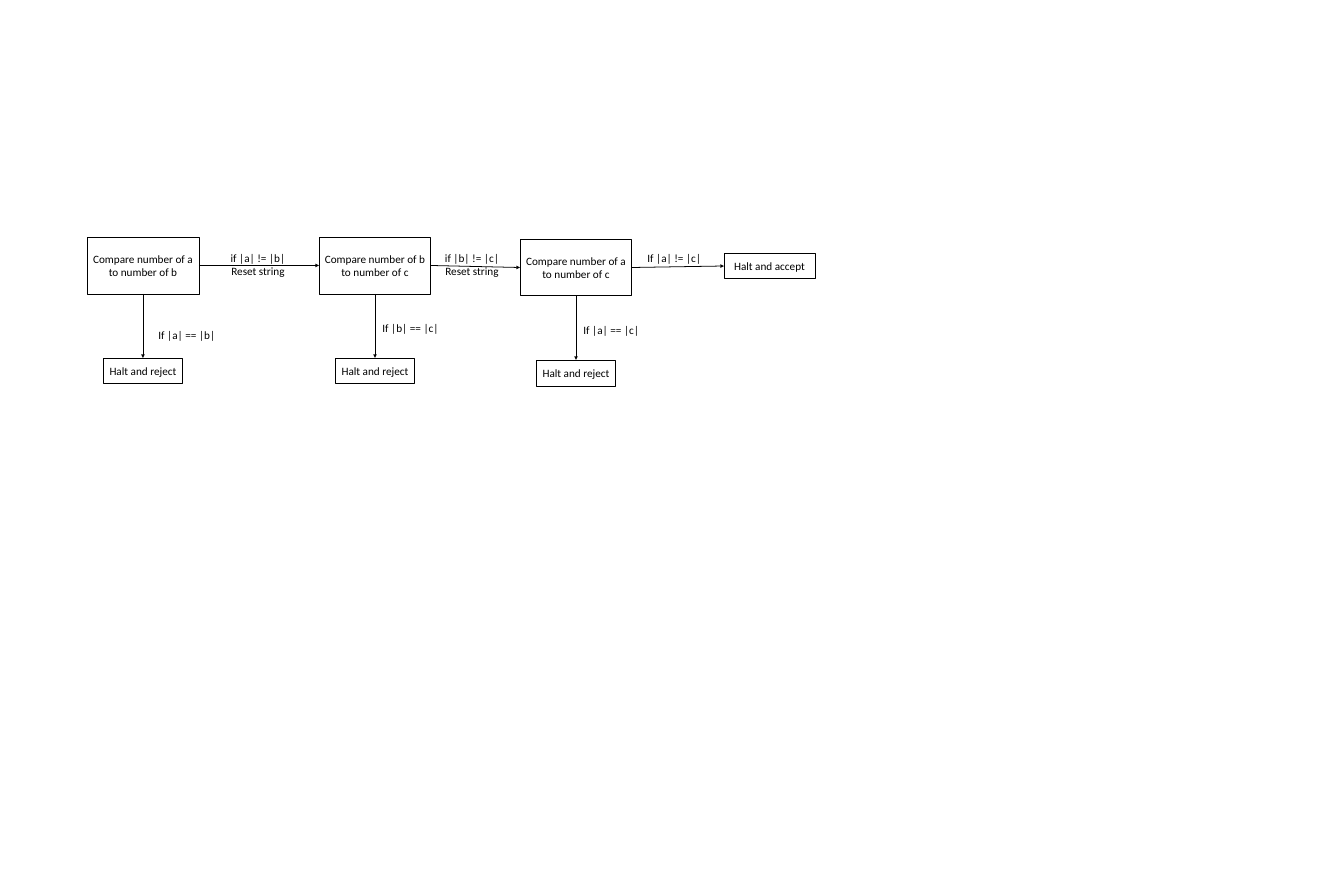
from lxml import etree
from pptx import Presentation
from pptx.dml.color import RGBColor
from pptx.enum.shapes import MSO_CONNECTOR, MSO_SHAPE
from pptx.enum.text import MSO_ANCHOR, MSO_AUTO_SIZE, PP_ALIGN
from pptx.oxml.ns import qn
from pptx.util import Emu, Inches, Pt

RECTANGLE = MSO_SHAPE.RECTANGLE
STRAIGHT = MSO_CONNECTOR.STRAIGHT
MIDDLE, TOP = MSO_ANCHOR.MIDDLE, MSO_ANCHOR.TOP
CENTER, LEFT = PP_ALIGN.CENTER, PP_ALIGN.LEFT
GROW = MSO_AUTO_SIZE.SHAPE_TO_FIT_TEXT
BLACK = RGBColor(0x00, 0x00, 0x00)
WHITE = RGBColor(0xFF, 0xFF, 0xFF)
PIXEL = Inches(1) / 44.8
# Connection sites of a rectangle
SITE_TOP, SITE_LEFT, SITE_BOTTOM, SITE_RIGHT = range(4)

STAGE_WIDTH, STAGE_HEIGHT = 112, 57
REJECT_WIDTH, ACCEPT_WIDTH, HALT_HEIGHT = 79, 91, 26
REJECT_DROP = 121  # from the top of a stage to the top of its reject box


def write_text(shape, text, alignment, anchor):
    """Fill a shape with black Calibri text."""
    frame = shape.text_frame
    frame.text = text
    frame.word_wrap = True
    frame.vertical_anchor = anchor
    for paragraph in frame.paragraphs:
        paragraph.alignment = alignment
        for run in paragraph.runs:
            run.font.name = "Calibri"
            run.font.size = Pt(18)
            run.font.color.rgb = BLACK


def add_arrow(start_box, start_site, end_box, end_site):
    """Join two boxes with a straight arrow."""
    connector = slide.shapes.add_connector(STRAIGHT, 0, 0, 0, 0)
    connector.begin_connect(start_box, start_site)
    connector.end_connect(end_box, end_site)
    connector.line.color.rgb = BLACK
    connector.line.width = Pt(1.25)
    properties = connector.element.spPr
    line = properties.find(qn("a:ln"))
    etree.SubElement(line, qn("a:tailEnd"), type="triangle")
    etree.SubElement(properties, qn("a:effectLst"))


presentation = Presentation()
presentation.slide_width = Inches(30)
presentation.slide_height = Inches(20)
slide = presentation.slides.add_slide(presentation.slide_layouts[6])

# Left, top, first letter, second letter
stages = [(87, 237, "a", "b"), (319, 237, "b", "c"), (520, 239, "a", "c")]
box_rows = []
for left, top, first, second in stages:
    box_rows.append((left, top, STAGE_WIDTH, STAGE_HEIGHT,
                     f"Compare number of {first} to number of {second}"))
    box_rows.append((left + (STAGE_WIDTH - REJECT_WIDTH) / 2, top + REJECT_DROP,
                     REJECT_WIDTH, HALT_HEIGHT, "Halt and reject"))
box_rows.append((724, 253, ACCEPT_WIDTH, HALT_HEIGHT, "Halt and accept"))

boxes = []
for *frame, text in box_rows:
    box = slide.shapes.add_shape(RECTANGLE, *[Emu(round(v * PIXEL)) for v in frame])
    box.shadow.inherit = False
    box.fill.solid()
    box.fill.fore_color.rgb = WHITE
    box.line.color.rgb = BLACK
    box.line.width = Pt(1.5)
    write_text(box, text, CENTER, MIDDLE)
    boxes.append(box)

stage_boxes = boxes[0::2]  # the three stages, then the accept box
reject_boxes = boxes[1::2]
for stage_box, reject_box in zip(stage_boxes, reject_boxes):
    add_arrow(stage_box, SITE_BOTTOM, reject_box, SITE_TOP)
for stage_box, next_box in zip(stage_boxes, stage_boxes[1:]):
    add_arrow(stage_box, SITE_RIGHT, next_box, SITE_LEFT)

labels = [
    (209, 249, 98, 32, "if |a| != |b|\nReset string", CENTER),
    (423, 249, 98, 32, "if |b| != |c|\nReset string", CENTER),
    (643, 249, 67, 18, "If |a| != |c|", LEFT),
    (154, 326, 67, 18, "If |a| == |b|", LEFT),
    (378, 319, 67, 18, "If |b| == |c|", LEFT),
    (579, 321, 67, 18, "If |a| == |c|", LEFT),
]
for *frame, text, alignment in labels:
    label = slide.shapes.add_textbox(*[Emu(round(v * PIXEL)) for v in frame])
    write_text(label, text, alignment, TOP)
    label.text_frame.auto_size = GROW

presentation.save("out.pptx")
